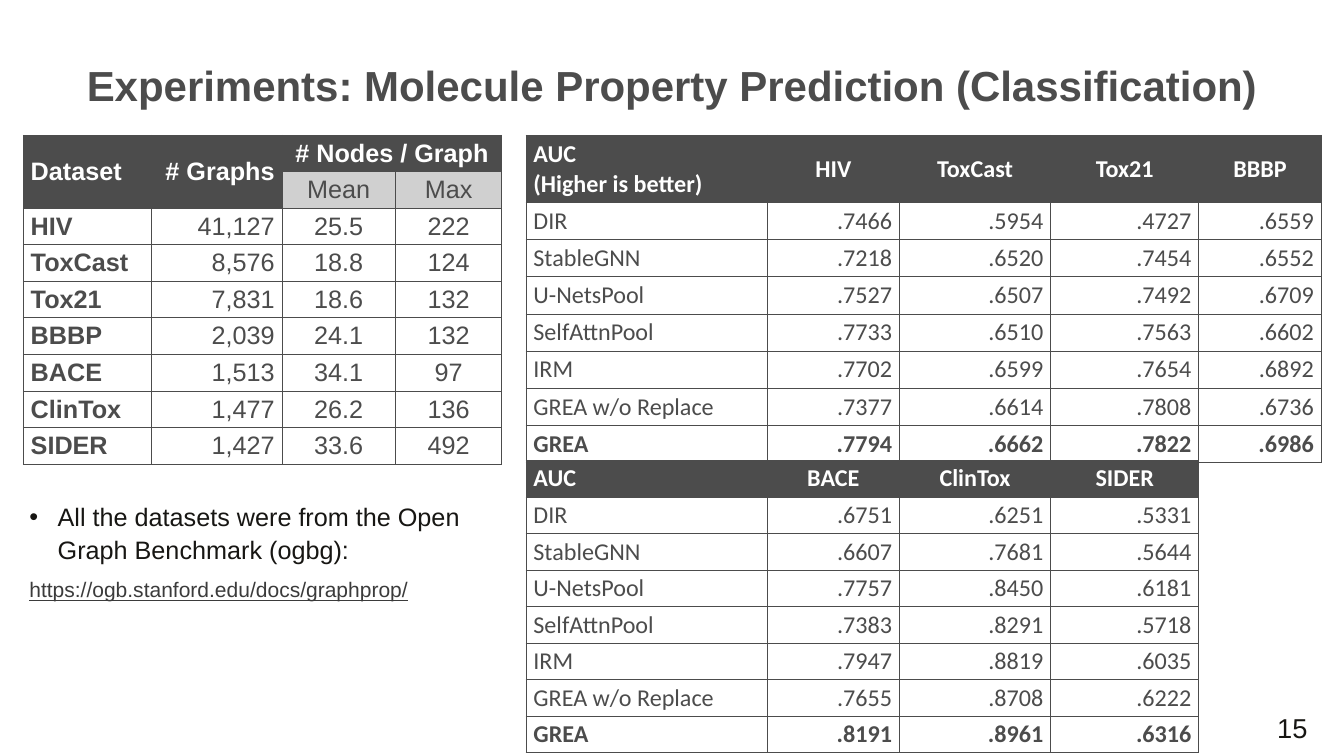
from pptx import Presentation
from pptx.dml.color import RGBColor
from pptx.enum.text import MSO_ANCHOR, PP_ALIGN
from pptx.oxml import parse_xml
from pptx.oxml.ns import nsdecls
from pptx.util import Pt

LEFT, CENTER, RIGHT = PP_ALIGN.LEFT, PP_ALIGN.CENTER, PP_ALIGN.RIGHT
DARK, LIGHT, WHITE, BLACK = "4C4C4C", "D0D0D0", "FFFFFF", "171613"
MODELS = ["DIR", "StableGNN", "U-NetsPool", "SelfAttnPool", "IRM",
          "GREA w/o Replace", "GREA"]
DATASETS = [
    ["HIV", "41,127", "25.5", "222"],
    ["ToxCast", "8,576", "18.8", "124"],
    ["Tox21", "7,831", "18.6", "132"],
    ["BBBP", "2,039", "24.1", "132"],
    ["BACE", "1,513", "34.1", "97"],
    ["ClinTox", "1,477", "26.2", "136"],
    ["SIDER", "1,427", "33.6", "492"],
]
LARGE_SCORES = {
    "HIV": [".7466", ".7218", ".7527", ".7733", ".7702", ".7377", ".7794"],
    "ToxCast": [".5954", ".6520", ".6507", ".6510", ".6599", ".6614", ".6662"],
    "Tox21": [".4727", ".7454", ".7492", ".7563", ".7654", ".7808", ".7822"],
    "BBBP": [".6559", ".6552", ".6709", ".6602", ".6892", ".6736", ".6986"],
}
SMALL_SCORES = {
    "BACE": [".6751", ".6607", ".7757", ".7383", ".7947", ".7655", ".8191"],
    "ClinTox": [".6251", ".7681", ".8450", ".8291", ".8819", ".8708", ".8961"],
    "SIDER": [".5331", ".5644", ".6181", ".5718", ".6035", ".6222", ".6316"],
}
SCORE_WIDTHS = [229.7, 126, 144, 141.1, 116.6]


def color(value):
    return RGBColor.from_string(value)


def apply(target, values):
    for name, value in values.items():
        setattr(target, name, value)


def style(para, hue, font, **values):
    apply(para, values)
    apply(para.font, font)
    para.font.color.rgb = color(hue)


def add_box(page, bounds, **frame_values):
    frame = page.shapes.add_textbox(*map(Pt, bounds)).text_frame
    apply(frame, {"word_wrap": True, **frame_values})
    return frame


def fill_cell(cell, text, hue, fill, font, alignment):
    cell.text = text
    for para in cell.text_frame.paragraphs:
        style(para, hue, font, alignment=alignment)
    apply(cell, {"vertical_anchor": MSO_ANCHOR.MIDDLE,
                 "margin_left": Pt(7), "margin_right": Pt(7),
                 "margin_top": Pt(3), "margin_bottom": Pt(3)})
    if fill:
        cell.fill.solid()
        cell.fill.fore_color.rgb = color(fill)
    else:
        cell.fill.background()
    for index, side in enumerate(("lnL", "lnR", "lnT", "lnB")):
        border = parse_xml(
            f'<a:{side} {nsdecls("a")} w="{Pt(1)}"><a:solidFill>'
            f'<a:srgbClr val="{DARK}"/></a:solidFill></a:{side}>')
        cell._tc.get_or_add_tcPr().insert(index, border)


def add_grid(page, left, top, widths, heights):
    bounds = (left, top, sum(widths), sum(heights))
    table = page.shapes.add_table(len(heights), len(widths), *map(Pt, bounds)).table
    apply(table, {"first_row": False, "horz_banding": False})
    for column, width in zip(table.columns, widths):
        column.width = Pt(width)
    for row, height in zip(table.rows, heights):
        row.height = Pt(height)
    return table


def add_dataset_table(page, left, top):
    rows = [["Dataset", "# Graphs", "# Nodes / Graph", ""],
            ["", "", "Mean", "Max"], *DATASETS]
    table = add_grid(page, left, top, [121.7, 124.6, 108, 101.5], [34.1] * len(rows))
    for r, row in enumerate(rows):
        for c, text in enumerate(row):
            subhead = r == 1 and c > 1
            head = r < 2 and not subhead
            font = {"name": "Arial", "size": Pt(24), "bold": head or c == 0}
            fill = DARK if head else LIGHT if subhead else None
            fill_cell(table.cell(r, c), text, WHITE if head else DARK, fill,
                      font, (LEFT, RIGHT, CENTER, CENTER)[c])
    for first, last in (((0, 0), (1, 0)), ((0, 1), (1, 1)), ((0, 2), (0, 3))):
        table.cell(*first).merge(table.cell(*last))


def add_score_table(page, left, top, heading, scores, heights):
    rows = [[heading, *scores], *zip(MODELS, *scores.values())]
    table = add_grid(page, left, top, SCORE_WIDTHS[:len(rows[0])], heights)
    for r, row in enumerate(rows):
        head = r == 0
        font = {"name": "Calibri", "size": Pt(23), "bold": head or row[0] == "GREA"}
        for c, text in enumerate(row):
            alignment = LEFT if c == 0 else CENTER if head else RIGHT
            fill_cell(table.cell(r, c), text, WHITE if head else DARK,
                      DARK if head else None, font, alignment)


def add_title(page, bounds):
    frame = add_box(page, bounds, vertical_anchor=MSO_ANCHOR.MIDDLE)
    para = frame.paragraphs[0]
    para.text = "Experiments: Molecule Property Prediction (Classification)"
    style(para, DARK, {"name": "Arial", "size": Pt(40), "bold": True},
          alignment=CENTER, line_spacing=0.8)


def add_source_note(page, bounds):
    frame = add_box(page, bounds)
    note = frame.paragraphs[0]
    note.text = "All the datasets were from the Open Graph Benchmark (ogbg):"
    properties = note._p.get_or_add_pPr()
    apply_indent = {"marL": Pt(27), "indent": -Pt(27)}
    for name, value in apply_indent.items():
        properties.set(name, str(value))
    for tag in ('buFont {} typeface="Arial"', 'buChar {} char="•"'):
        properties.append(parse_xml(f'<a:{tag.format(nsdecls("a"))}/>'))
    style(note, BLACK, {"name": "Arial", "size": Pt(24)}, line_spacing=1.07)
    link = frame.add_paragraph()
    link.text = "https://ogb.stanford.edu/docs/graphprop/"
    style(link, "3B3B3B", {"name": "Arial", "size": Pt(20), "underline": True},
          line_spacing=1.5)


def add_page_number(page, bounds):
    frame = add_box(page, bounds, vertical_anchor=MSO_ANCHOR.MIDDLE,
                    margin_left=Pt(11.5), margin_right=Pt(11.5))
    para = frame.paragraphs[0]
    para.text = "15"
    style(para, BLACK, {"name": "Arial", "size": Pt(26)}, alignment=RIGHT)


def main():
    deck = Presentation()
    apply(deck, {"slide_width": Pt(1280.16), "slide_height": Pt(720)})
    page = deck.slides.add_slide(deck.slide_layouts[6])
    add_title(page, (64, 60.5, 1152, 49))
    add_page_number(page, (1190, 678, 67, 29))
    add_dataset_table(page, 22.3, 128.9)
    add_score_table(page, 501.1, 128.9, "AUC\n(Higher is better)",
                    LARGE_SCORES, [64] + [35.4] * 7)
    add_source_note(page, (20.9, 472.3, 455.8, 97.2))
    add_score_table(page, 501.1, 438.5, "AUC", SMALL_SCORES, [34.83] * 8)
    deck.save("out.pptx")


if __name__ == "__main__":
    main()
